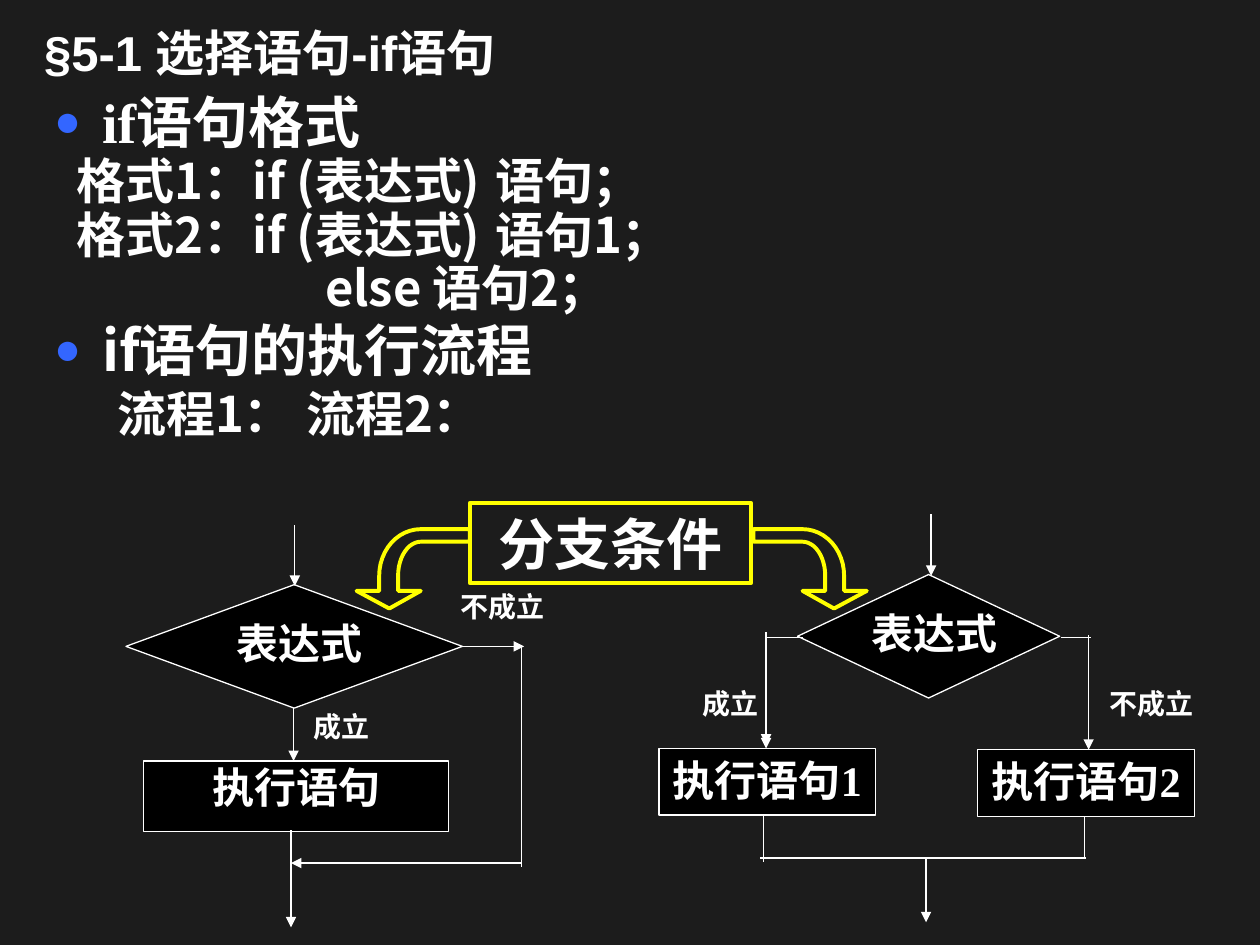
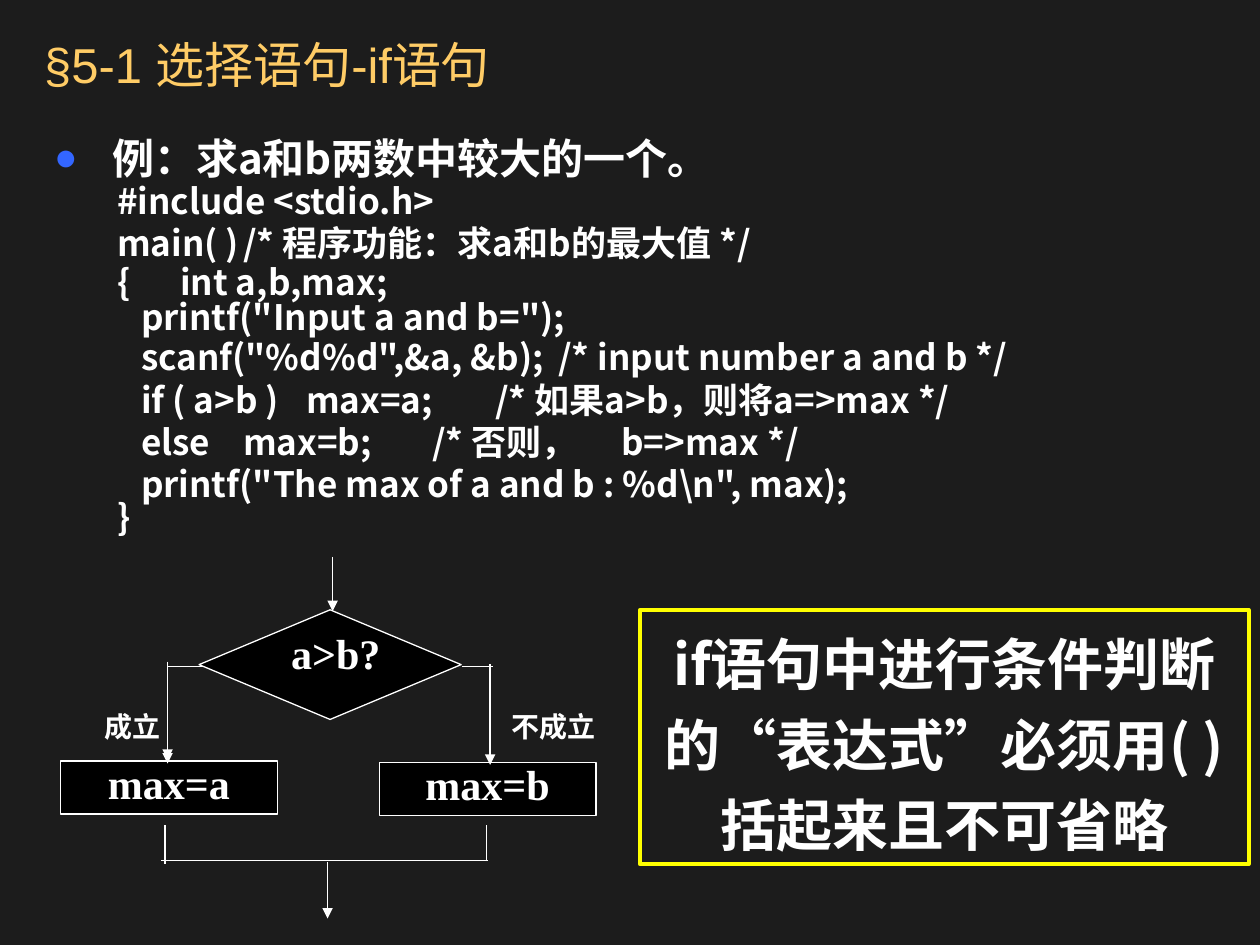
from dataclasses import dataclass
from math import cos, pi, sin

from lxml import etree
from pptx import Presentation
from pptx.dml.color import RGBColor
from pptx.enum.shapes import MSO_CONNECTOR, MSO_SHAPE
from pptx.enum.text import MSO_ANCHOR, MSO_AUTO_SIZE, PP_ALIGN
from pptx.oxml.ns import qn
from pptx.util import Inches, Pt

DIAMOND, RECTANGLE = MSO_SHAPE.DIAMOND, MSO_SHAPE.RECTANGLE
TOP, MIDDLE = MSO_ANCHOR.TOP, MSO_ANCHOR.MIDDLE
LEFT, CENTER = PP_ALIGN.LEFT, PP_ALIGN.CENTER
STRAIGHT = MSO_CONNECTOR.STRAIGHT


@dataclass(frozen=True)
class Theme:
    background: str = "1C1C1C"
    text: str = "FFFFFF"
    title: str = "FFCC66"
    bullet: str = "3366FF"
    node: str = "000000"
    accent: str = "FFFF00"
    title_font: str = "Arial"
    serif: str = "Times New Roman"
    sans: str = "Noto Sans CJK SC"
    heading: int = 32
    large: int = 28
    medium: int = 24
    code: int = 20
    label: int = 16
    thin: float = 0.75
    thick: float = 2.25


THEME = Theme()


@dataclass(frozen=True)
class Row:
    """One body line; indent and tabs are measured in inches from the text edge."""
    text: str
    size: int
    spacing: float
    before: int
    indent: float = 0.5
    tabs: tuple[float, ...] = ()
    level: int = 1
    bullet_size: int = 0
    font: str = THEME.sans


@dataclass(frozen=True)
class Box:
    left: float
    top: float
    width: float
    height: float
    text: str = ""
    shape: MSO_SHAPE = RECTANGLE
    fill: str = ""
    line: str = ""
    weight: float = THEME.thin
    size: int = THEME.medium
    font: str = THEME.serif
    spacing: float = 1.0
    align: PP_ALIGN = CENTER
    anchor: MSO_ANCHOR = TOP
    wrap: bool = True


@dataclass(frozen=True)
class Segment:
    x1: float
    y1: float
    x2: float
    y2: float
    arrow: bool = False


@dataclass(frozen=True)
class Branch:
    """Two-way flowchart, placed by the left corner of its diamond."""
    left: float
    entry: float
    top: float
    height: float
    condition: str
    condition_top: float
    side: float
    label_top: float
    box_top: float
    box_height: float
    actions: tuple[str, str]
    spacing: float
    tip: float
    stem: float
    join: float
    end: float


def apply(target, values: dict) -> None:
    for name, value in values.items():
        setattr(target, name, value)


def write(para, text: str, size: int, font: str, color: str = THEME.text,
          bold: bool = True) -> None:
    span = para.add_run()
    span.text = text
    apply(span.font, {"name": font, "size": Pt(size), "bold": bold})
    span.font.color.rgb = RGBColor.from_string(color)
    etree.SubElement(span.font._element, qn("a:ea"), typeface=THEME.sans)


def place(shape, left: float, top: float, width: float, height: float) -> None:
    apply(shape, {"left": Inches(left), "top": Inches(top),
                  "width": Inches(width), "height": Inches(height)})


def set_bullet_and_tabs(para, row: Row) -> None:
    props = para._p.get_or_add_pPr()
    hanging = row.bullet_size > 0
    props.set("marL", str(Inches(row.indent if hanging else 0)))
    props.set("indent", str(Inches(-row.indent if hanging else row.indent)))
    if hanging:
        color = etree.SubElement(props, qn("a:buClr"))
        etree.SubElement(color, qn("a:srgbClr"), val=THEME.bullet)
        etree.SubElement(props, qn("a:buSzPct"), val=str(row.bullet_size * 1000))
        etree.SubElement(props, qn("a:buChar"), char="●")
    else:
        etree.SubElement(props, qn("a:buNone"))
    if row.tabs:
        tabs = etree.SubElement(props, qn("a:tabLst"))
        for stop in row.tabs:
            etree.SubElement(tabs, qn("a:tab"), pos=str(Inches(stop)), algn="l")


def add_page(deck, title_top: float, title_color: str, title_bold: bool,
             body_top: float, body_height: float, rows: list[Row]):
    page = deck.slides.add_slide(deck.slide_layouts[1])
    title, body = page.shapes.title, page.placeholders[1]
    place(title, 0.25, title_top, 8.5, 0.67)
    place(body, 0.33, body_top, 9.67, body_height)
    for holder, anchor in ((title, MIDDLE), (body, TOP)):
        apply(holder.text_frame, {"auto_size": MSO_AUTO_SIZE.NONE, "word_wrap": True,
                                  "vertical_anchor": anchor})
    heading = title.text_frame.paragraphs[0]
    heading.alignment = LEFT
    write(heading, "§5-1 选择语句-if语句", THEME.large, THEME.title_font,
          title_color, title_bold)
    for number, row in enumerate(rows):
        frame = body.text_frame
        para = frame.add_paragraph() if number else frame.paragraphs[0]
        set_bullet_and_tabs(para, row)
        apply(para, {"level": row.level, "line_spacing": row.spacing,
                     "space_before": Pt(row.before if number else 0)})
        write(para, row.text, row.size, row.font)
    return page


def outline(shape, color: str, weight: float) -> None:
    shape.line.color.rgb = RGBColor.from_string(color)
    shape.line.width = Pt(weight)


def add_box(page, box: Box) -> None:
    bounds = [Inches(n) for n in (box.left, box.top, box.width, box.height)]
    if box.line:
        shape = page.shapes.add_shape(box.shape, *bounds)
        shape.shadow.inherit = False
        outline(shape, box.line, box.weight)
        if box.fill:
            shape.fill.solid()
            shape.fill.fore_color.rgb = RGBColor.from_string(box.fill)
        else:
            shape.fill.background()
    else:
        shape = page.shapes.add_textbox(*bounds)
    if box.text:
        apply(shape.text_frame, {"word_wrap": box.wrap, "vertical_anchor": box.anchor})
        para = shape.text_frame.paragraphs[0]
        apply(para, {"alignment": box.align, "line_spacing": box.spacing})
        write(para, box.text, box.size, box.font)


def add_segment(page, segment: Segment) -> None:
    ends = (segment.x1, segment.y1, segment.x2, segment.y2)
    line = page.shapes.add_connector(STRAIGHT, *(Inches(n) for n in ends))
    outline(line, THEME.text, THEME.thin)
    if segment.arrow:
        etree.SubElement(line.line._get_or_add_ln(), qn("a:tailEnd"), type="triangle")
    etree.SubElement(line._element.spPr, qn("a:effectLst"))


def draw(page, boxes: list[Box], segments: list[Segment]) -> None:
    for box in boxes:
        add_box(page, box)
    for segment in segments:
        add_segment(page, segment)


def node(left: float, top: float, width: float, height: float, text: str = "",
         shape: MSO_SHAPE = RECTANGLE, spacing: float = 1.0) -> Box:
    return Box(left, top, width, height, text, shape, THEME.node, THEME.text,
               spacing=spacing, wrap=False)


def label(left: float, top: float, text: str) -> Box:
    return Box(left, top, 0.9, 0.32, text, size=THEME.label, spacing=0.8, align=LEFT)


def callout(left: float, top: float, width: float, height: float, text: str,
            spacing: float = 1.0) -> Box:
    return Box(left, top, width, height, text, line=THEME.accent, weight=THEME.thick,
               size=THEME.heading, font=THEME.sans, spacing=spacing, anchor=MIDDLE)


def draw_branch(page, chart: Branch) -> None:
    left, right = chart.left, chart.left + 2.08
    yes, no = left - 0.25, right + 0.23
    boxes = [
        node(left, chart.top, 2.08, chart.height, shape=DIAMOND),
        Box(left + 0.46, chart.condition_top, 1.25, 0.5, chart.condition),
        label(left - 0.85, chart.label_top, "成立"),
        label(right + 0.3, chart.label_top, "不成立"),
    ]
    boxes += [node(left - 1.1 + 2.53 * column, chart.box_top + 0.01 * column, 1.72,
                   chart.box_height, action, spacing=chart.spacing)
              for column, action in enumerate(chart.actions)]
    draw(page, boxes, [
        Segment(left + 1.06, chart.entry, left + 1.06, chart.top + 0.01, True),
        Segment(yes, chart.side, left + 0.04, chart.side),
        Segment(right + 0.01, chart.side, no + 0.02, chart.side),
        Segment(yes, chart.side - 0.04, yes, chart.tip - 0.03, True),
        Segment(yes, chart.side - 0.01, yes, chart.tip, True),
        Segment(no, chart.side - 0.02, no, chart.tip + 0.01, True),
        Segment(yes - 0.02, chart.stem, yes - 0.02, chart.join + 0.03),
        Segment(no - 0.03, chart.stem, no - 0.03, chart.join),
        Segment(no - 0.02, chart.join, yes - 0.05, chart.join),
        Segment(left + 1.02, chart.join + 0.01, left + 1.02, chart.end, True),
    ])


def draw_single_flow(page) -> None:
    """Flowchart of an if without else."""
    draw(page, [
        node(1, 4.64, 2.67, 0.98, shape=DIAMOND),
        Box(1.75, 4.85, 1.25, 0.5, "表达式"),
        node(1.14, 6.04, 2.42, 0.56, "执行语句", spacing=0.9),
        label(2.39, 5.63, "成立"),
        label(3.56, 4.68, "不成立"),
    ], [
        Segment(2.34, 4.17, 2.34, 4.65, True),
        Segment(2.33, 5.62, 2.33, 6.04, True),
        Segment(3.66, 5.13, 4.16, 5.13, True),
        Segment(4.14, 5.13, 4.14, 6.88),
        Segment(2.31, 6.59, 2.31, 7.36, True),
        Segment(4.14, 6.85, 2.31, 6.85, True),
    ])


def arc(radius_x: float, radius_y: float) -> list[tuple[float, float]]:
    """Quarter ellipse from its top to its outer side, around the arrow's bend."""
    steps = 12
    angles = [pi / 2 * step / steps for step in range(steps + 1)]
    return [(0.39 + radius_x * sin(a), 4.57 - radius_y * cos(a)) for a in angles]


def add_bent_arrow(page, tail: float, side: int) -> None:
    points = [(0, 4.2), *arc(0.33, 0.37), (0.72, 4.69), (0.9, 4.69), (0.64, 4.83),
              (0.39, 4.69), (0.57, 4.69), *reversed(arc(0.18, 0.27)), (0, 4.3)]
    corners = [(Inches(tail + side * x), Inches(y)) for x, y in points]
    builder = page.shapes.build_freeform(*corners[0])
    builder.add_line_segments(corners[1:], close=True)
    arrow = builder.convert_to_shape()
    arrow.shadow.inherit = False
    arrow.fill.background()
    outline(arrow, THEME.accent, THEME.thick)


def heading_row(text: str, font: str = THEME.sans) -> Row:
    return Row(text, THEME.heading, 0.8, 8, 0.38, level=0, bullet_size=80, font=font)


def code_row(text: str, spacing: float = 0.8, *tabs: float) -> Row:
    return Row(text, THEME.code, spacing, 5, tabs=tabs)


def build_format_page(deck) -> None:
    page = add_page(deck, 0.08, THEME.text, True, 0.75, 3.43, [
        heading_row("if语句格式", THEME.serif),
        Row("格式1：if (表达式)\t语句；", THEME.large, 0.7, 7, 0.18, (5.38,), 0),
        Row("格式2：if (表达式)\t语句1；", THEME.large, 0.7, 7, 0.18, (5.38,), 0),
        Row("else\t语句2；", THEME.large, 0.7, 7, 2.15, (5.81,)),
        heading_row("if语句的执行流程"),
        Row("流程1：\t流程2：", THEME.large, 0.8, 7, tabs=(5.69,)),
    ])
    draw_single_flow(page)
    draw_branch(page, Branch(
        left=6.33, entry=4.08, top=4.56, height=0.98, condition="表达式",
        condition_top=4.77, side=5.06, label_top=5.45, box_top=5.94, box_height=0.53,
        actions=("执行语句1", "执行语句2"), spacing=1.0, tip=5.94, stem=6.48,
        join=6.81, end=7.32))
    add_box(page, callout(3.73, 3.99, 2.23, 0.64, "分支条件"))
    for tail, side in ((3.73, -1), (5.98, 1)):
        add_bent_arrow(page, tail, side)


def build_example_page(deck) -> None:
    page = add_page(deck, 0.17, THEME.title, False, 1.08, 3.75, [
        Row("例：求a和b两数中较大的一个。", THEME.medium, 0.8, 6, 0.46, level=0,
            bullet_size=93),
        code_row("#include <stdio.h>", 0.7),
        code_row("main( )\t/* 程序功能：求a和b的最大值 */", 0.8, 2.35),
        code_row("{\tint a,b,max;", 0.7, 0.72),
        code_row('   printf("Input a and b=");', 0.6),
        code_row('   scanf("%d%d",&a, &b);\t/* input number a and b */', 0.8, 4.01),
        code_row("   if ( a>b )\tmax=a;\t/* 如果a>b，则将a=>max */", 0.8, 1.9, 3.23),
        code_row("   else\tmax=b;\t/* 否则，\tb=>max */", 0.8, 1.73, 3.08, 4.73),
        code_row('   printf("The max of a and b : %d\\n", max);'),
        code_row("}", 0.5),
    ])
    draw_branch(page, Branch(
        left=1.58, entry=4.42, top=4.84, height=0.87, condition="a>b?",
        condition_top=4.93, side=5.29, label_top=5.63, box_top=6.04, box_height=0.42,
        actions=("max=a", "max=b"), spacing=0.8, tip=6.06, stem=6.55,
        join=6.83, end=7.29))
    add_box(page, callout(5.08, 4.84, 4.83, 2.02,
                          "if语句中进行条件判断的“表达式”必须用( )括起来且不可省略", 1.2))


def main() -> None:
    deck = Presentation()
    apply(deck, {"slide_width": Inches(10), "slide_height": Inches(7.5)})
    backdrop = deck.slide_master.background.fill
    backdrop.solid()
    backdrop.fore_color.rgb = RGBColor.from_string(THEME.background)
    build_format_page(deck)
    build_example_page(deck)
    deck.save("out.pptx")


if __name__ == "__main__":
    main()
